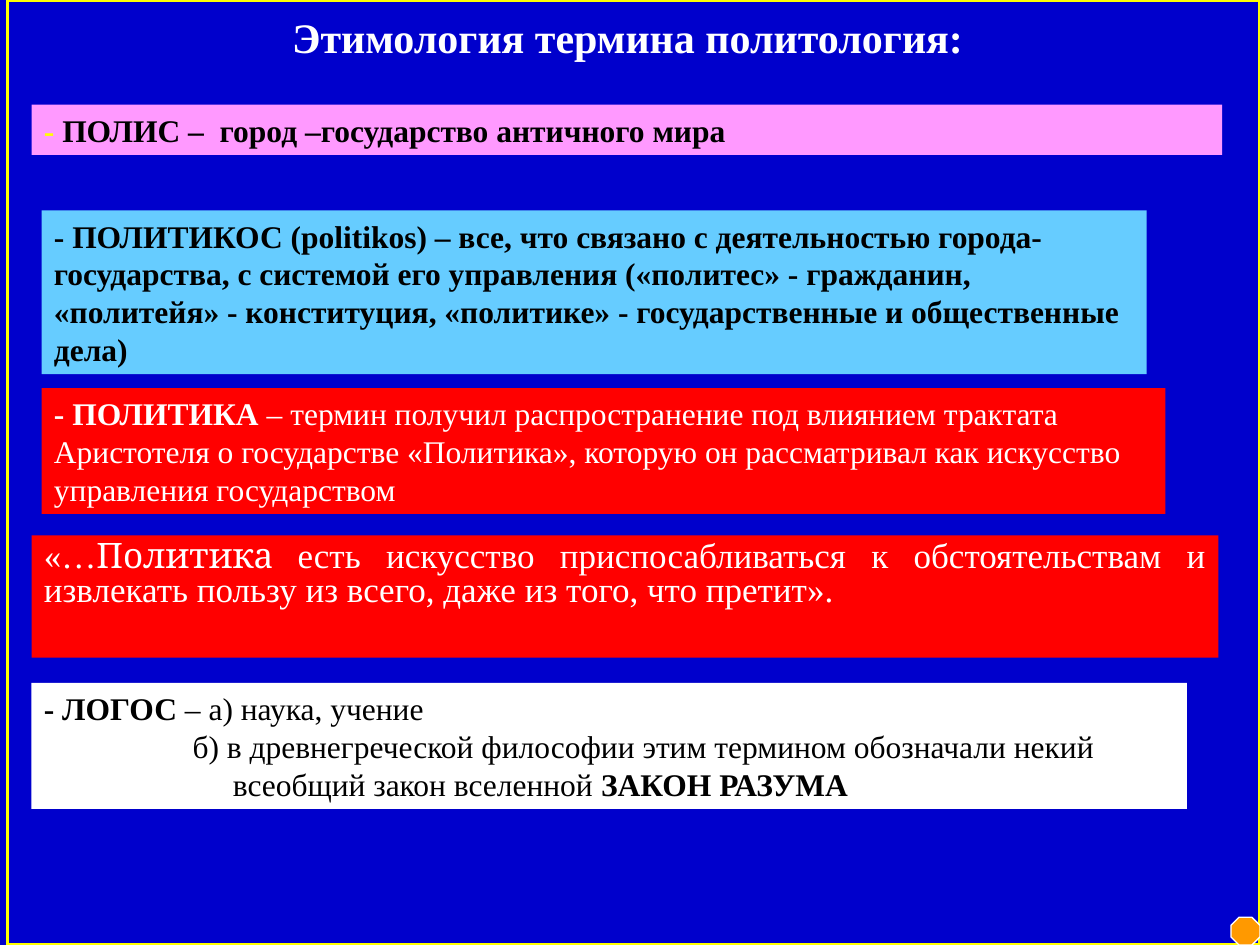
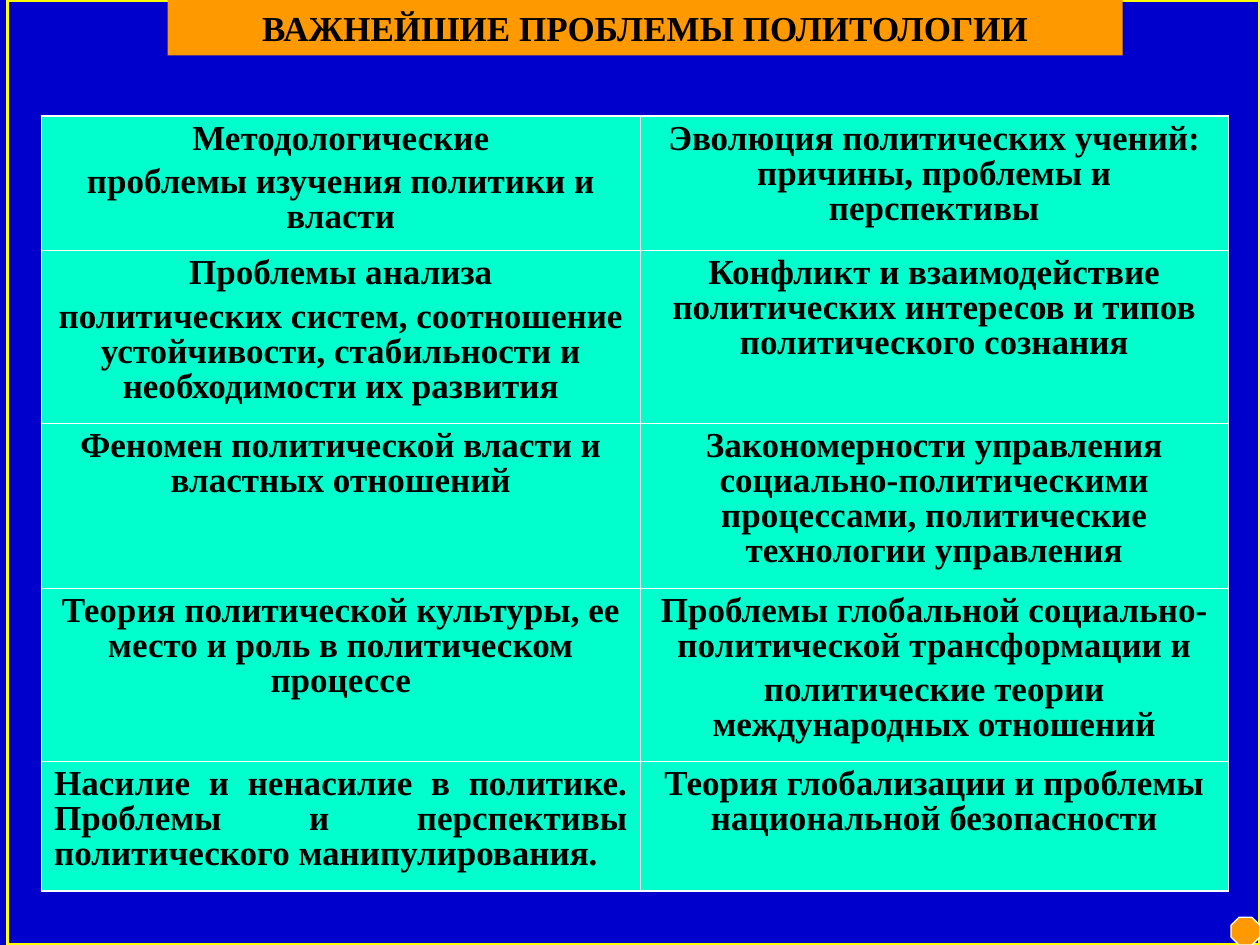
from lxml import etree
from pptx import Presentation
from pptx.dml.color import RGBColor
from pptx.enum.shapes import MSO_SHAPE
from pptx.enum.text import MSO_ANCHOR, MSO_AUTO_SIZE, PP_ALIGN
from pptx.oxml.ns import qn
from pptx.util import Inches, Pt

LEFT, CENTER, JUSTIFY = PP_ALIGN.LEFT, PP_ALIGN.CENTER, PP_ALIGN.JUSTIFY
TOP, NO_AUTOFIT = MSO_ANCHOR.TOP, MSO_AUTO_SIZE.NONE
RECTANGLE, OCTAGON = MSO_SHAPE.RECTANGLE, MSO_SHAPE.OCTAGON

# The slide is a grid of 120 columns by 90 rows, twelve to the inch
GRID_COLUMNS, GRID_ROWS = 120, 90
TITLE_ONLY_LAYOUT = 5

BLUE, YELLOW, ORANGE = "0000CC", "FFFF00", "FF9900"
RED, PINK, SKY, MINT = "FF0000", "FF99FF", "66CCFF", "00FFCC"
WHITE, BLACK = "FFFFFF", "000000"
FONT, ACCENT_FONT = "Times New Roman", "Cambria"
PLAIN, BOLD = {"bold": False}, {"bold": True}

OUTER_BORDER, INNER_BORDER = 1.08, 0.45
PROBLEM_COLUMNS = [57, 56]
PROBLEM_ROWS = [12.8, 16.4, 15.7, 16.4, 12.4]
# Each cell is a list of paragraphs
PROBLEMS = [
    (["Методологические", "проблемы изучения политики и власти"],
     ["Эволюция политических учений: причины, проблемы и перспективы"]),
    (["Проблемы анализа", "политических систем, соотношение устойчивости, "
      "стабильности и необходимости их развития"],
     ["Конфликт и взаимодействие политических интересов и типов "
      "политического сознания"]),
    (["Феномен политической власти и властных отношений"],
     ["Закономерности управления социально-политическими процессами, "
      "политические технологии управления"]),
    (["Теория политической культуры, ее место и роль в политическом процессе"],
     ["Проблемы глобальной социально-политической трансформации и",
      "политические теории международных отношений"]),
    (["Насилие и ненасилие в политике. Проблемы и перспективы "
      "политического манипулирования."],
     ["Теория глобализации и проблемы национальной безопасности"]),
]


def color(hex_string):
    return RGBColor.from_string(hex_string)


def grid(units):
    return Inches(round(units / 12, 2))


def paint(item, fill=None, line=None, width=0.75):
    """Fill and outline a shape; None means there is none."""
    if fill:
        item.fill.solid()
        item.fill.fore_color.rgb = color(fill)
    else:
        item.fill.background()
    if line:
        item.line.color.rgb = color(line)
        item.line.width = Pt(width)
    else:
        item.line.fill.background()


def add_block(slide, kind, box, **colors):
    shape = slide.shapes.add_shape(kind, *map(grid, box))
    shape.shadow.inherit = False
    paint(shape, **colors)
    return shape


def write(frame, paragraphs, size=18, text_color=BLACK, bold=False,
          indents=(), **paragraph_format):
    """Write paragraphs, each a list of (text, font changes) runs."""
    for index, runs in enumerate(paragraphs):
        paragraph = frame.add_paragraph() if index else frame.paragraphs[0]
        formats = {"alignment": LEFT, "space_before": Pt(0), **paragraph_format}
        if index == 0:
            formats["space_before"] = Pt(0)
        for name, value in formats.items():
            setattr(paragraph, name, value)
        if indents:
            properties = paragraph._p.get_or_add_pPr()
            properties.set("marL", str(grid(indents[index])))
            properties.set("indent", "0")
        for text, changes in runs:
            run = paragraph.add_run()
            run.text = text
            font = {"name": FONT, "size": Pt(size), "bold": bold,
                    "color": text_color, **changes}
            run.font.color.rgb = color(font.pop("color"))
            for name, value in font.items():
                setattr(run.font, name, value)


def prepare_frame(shape):
    frame = shape.text_frame
    settings = {"word_wrap": True, "auto_size": NO_AUTOFIT,
                "vertical_anchor": TOP,
                "margin_left": Inches(0.1), "margin_right": Inches(0.1),
                "margin_top": Inches(0.05), "margin_bottom": Inches(0.05)}
    for name, value in settings.items():
        setattr(frame, name, value)
    return frame


def add_banner(slide, box, fill, paragraphs, **formats):
    shape = add_block(slide, RECTANGLE, box, fill=fill)
    write(prepare_frame(shape), paragraphs, **formats)


def add_slide(presentation, title, box, fill=None, **formats):
    """Start a slide with its title, yellow frame and corner mark."""
    layout = presentation.slide_layouts[TITLE_ONLY_LAYOUT]
    slide = presentation.slides.add_slide(layout)
    add_block(slide, RECTANGLE, (0.75, 0, 119.25, GRID_ROWS),
              line=YELLOW, width=2.25)
    mark = add_block(slide, OCTAGON, (117.25, 87.35, 2.75, 2.65),
                     fill=ORANGE, line=WHITE)
    mark.adjustments[0] = 0.29

    heading = slide.shapes.title
    heading.left, heading.top, heading.width, heading.height = map(grid, box)
    paint(heading, fill=fill)
    write(prepare_frame(heading), [[(title, BOLD)]],
          alignment=CENTER, **formats)
    # The title lies above the frame
    slide.shapes._spTree.append(heading._element)
    return slide


def set_borders(cell, widths):
    properties = cell._tc.get_or_add_tcPr()
    for side, width in widths.items():
        line = etree.SubElement(properties, qn(f"a:ln{side}"),
                                w=str(Pt(width)))
        fill = etree.SubElement(line, qn("a:solidFill"))
        etree.SubElement(fill, qn("a:srgbClr"), val=WHITE)


def add_problem_table(slide, left, top):
    row_count, column_count = len(PROBLEM_ROWS), len(PROBLEM_COLUMNS)
    table = slide.shapes.add_table(
        row_count, column_count, grid(left), grid(top),
        grid(sum(PROBLEM_COLUMNS)), grid(sum(PROBLEM_ROWS))).table
    table.first_row = table.horz_banding = False
    for column, width in zip(table.columns, PROBLEM_COLUMNS):
        column.width = grid(width)
    for row, height in zip(table.rows, PROBLEM_ROWS):
        row.height = grid(height)

    for r, texts in enumerate(PROBLEMS):
        for c, paragraphs in enumerate(texts):
            cell = table.cell(r, c)
            on_edge = {"L": c == 0, "R": c == column_count - 1,
                       "T": r == 0, "B": r == row_count - 1}
            set_borders(cell, {side: OUTER_BORDER if outer else INNER_BORDER
                               for side, outer in on_edge.items()})
            cell.fill.solid()
            cell.fill.fore_color.rgb = color(MINT)
            last_left = r == row_count - 1 and c == 0
            write(cell.text_frame, [[(text, BOLD)] for text in paragraphs],
                  size=20, alignment=JUSTIFY if last_left else CENTER,
                  line_spacing=0.9, space_before=Pt(5))


def build_etymology(presentation):
    slide = add_slide(presentation, "Этимология термина политология:",
                      (3.25, 1.5, 113, 11.5), size=24, text_color=WHITE,
                      line_spacing=0.8)
    add_banner(slide, (3, 51, 113, 11.6), RED, [[
        ("«…", PLAIN), ("Политика ", {"name": ACCENT_FONT}),
        ("есть искусство приспосабливаться к обстоятельствам и извлекать "
         "пользу из всего, даже из того, что претит».", PLAIN)]],
        size=20, text_color=WHITE, alignment=JUSTIFY, line_spacing=0.8)
    add_banner(slide, (3, 10, 113.4, 4.8), PINK, [[
        ("- ", {"color": YELLOW}),
        ("ПОЛИС –  город –государство античного мира", BOLD)]],
        bold=True, alignment=JUSTIFY)
    add_banner(slide, (4, 20, 105.25, 15.6), SKY, [[
        ("- ПОЛИТИКОС (politikos) – все, что связано с деятельностью "
         "города-государства, с системой его управления («политес» - "
         "гражданин, «политейя» - конституция, «политике» - "
         "государственные и общественные дела)", BOLD)]])
    add_banner(slide, (4, 37, 107, 12), RED, [[
        ("- ПОЛИТИКА ", BOLD),
        ("– термин получил распространение под влиянием трактата "
         "Аристотеля о государстве «Политика», которую он рассматривал "
         "как искусство управления государством", PLAIN)]],
        text_color=WHITE)
    add_banner(slide, (3, 65, 110, 12), WHITE, [
        [("- ЛОГОС", BOLD), (" – а) наука, учение", PLAIN)],
        [("б) в древнегреческой философии этим термином обозначали некий",
          PLAIN)],
        [("всеобщий закон вселенной", PLAIN), (" ЗАКОН РАЗУМА", BOLD)]],
        indents=(0, 14.2, 18))


def build_problems(presentation):
    slide = add_slide(presentation, "ВАЖНЕЙШИЕ ПРОБЛЕМЫ ПОЛИТОЛОГИИ",
                      (16, 0, 91, 5.25), fill=ORANGE, size=20)
    add_problem_table(slide, 4, 11)


def main():
    presentation = Presentation()
    presentation.slide_width = grid(GRID_COLUMNS)
    presentation.slide_height = grid(GRID_ROWS)
    background = presentation.slide_master.background.fill
    background.solid()
    background.fore_color.rgb = color(BLUE)
    build_etymology(presentation)
    build_problems(presentation)
    presentation.save("out.pptx")


if __name__ == "__main__":
    main()
